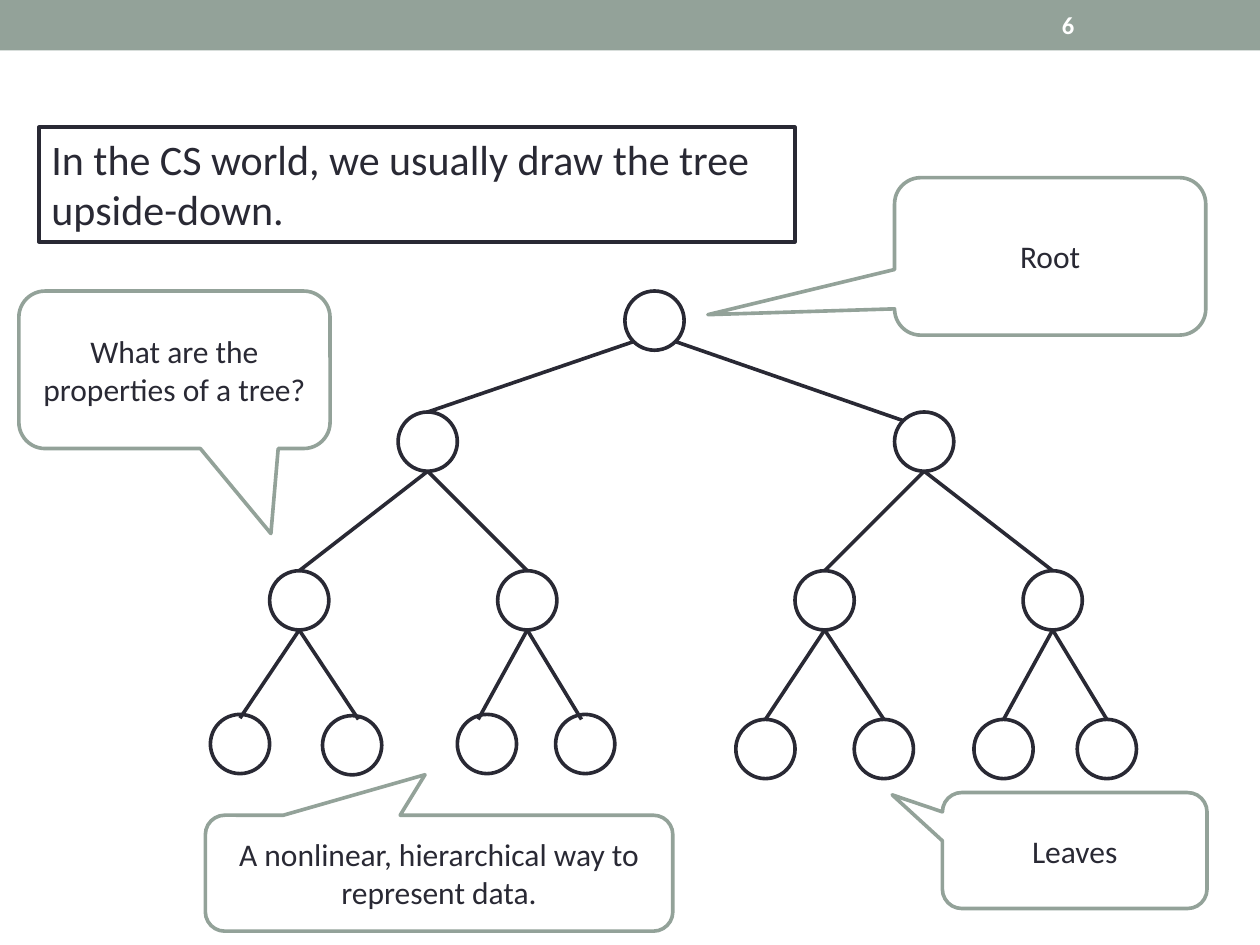
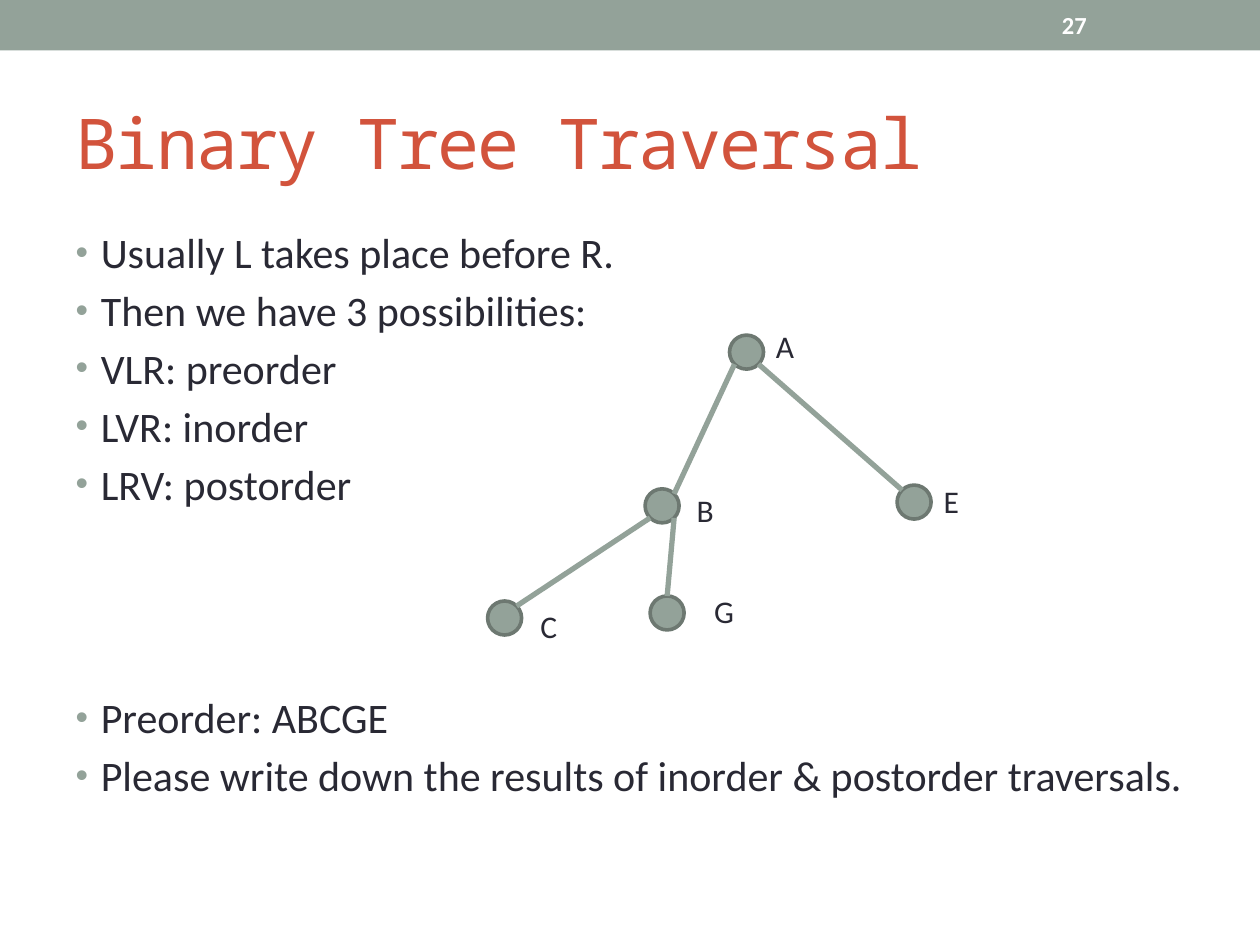
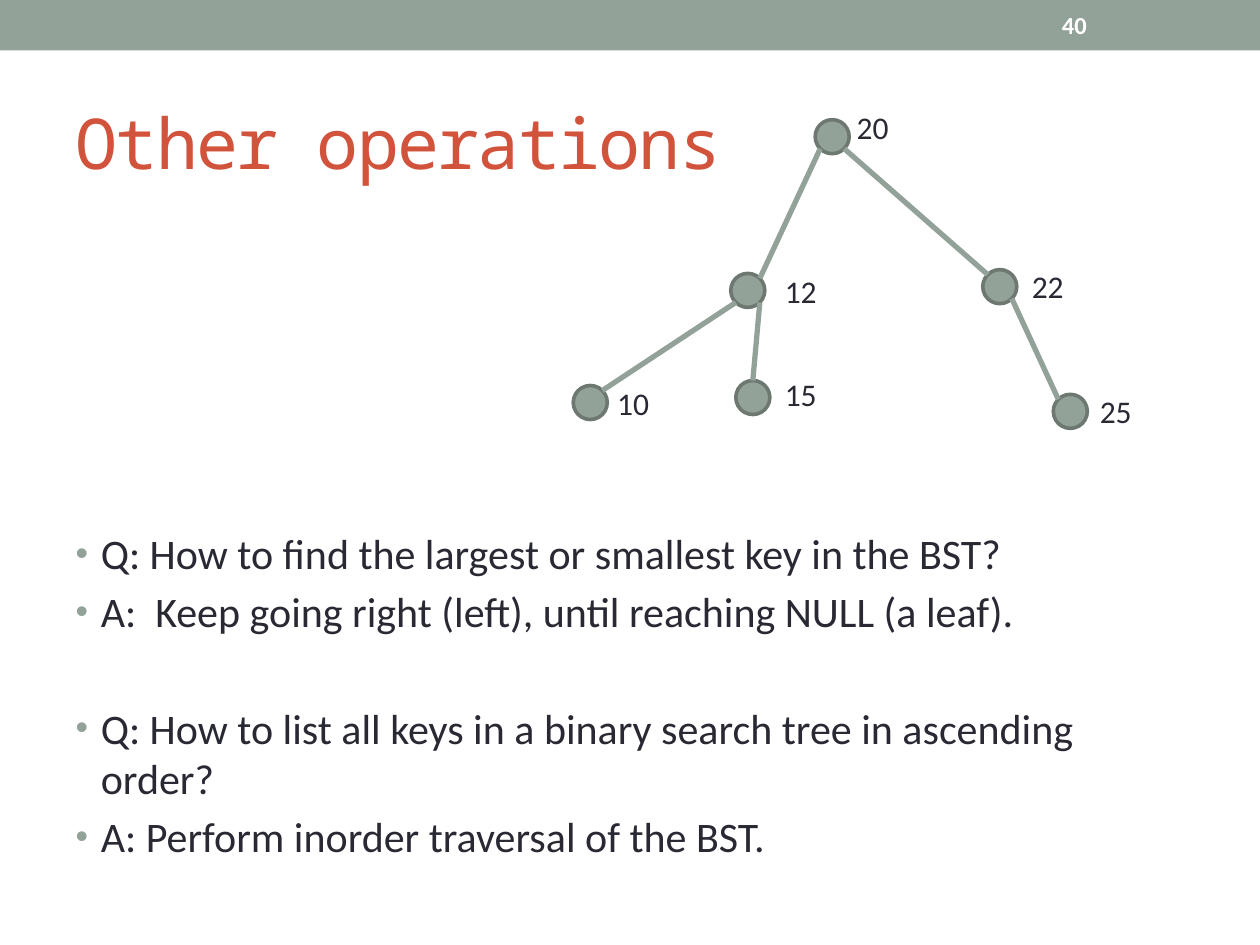
from pptx import Presentation
from pptx.dml.color import RGBColor
from pptx.enum.shapes import MSO_CONNECTOR, MSO_SHAPE
from pptx.enum.text import MSO_ANCHOR, MSO_AUTO_SIZE, PP_ALIGN
from pptx.oxml.ns import qn
from pptx.util import Inches, Pt
from lxml.etree import SubElement

WIDTH, HEIGHT = 10, 7.5
MARGIN = WIDTH / 20
BODY_BOTTOM = 7.08
COLORS = {
    "sage": "93A299",
    "dark_sage": "6D7871",
    "ink": "292934",
    "red": "D2533C",
    "white": "FFFFFF",
}
BODY_FONT, TITLE_FONT = "Calibri", "Noto Sans Mono"
OUTLINE = 2.08
PARAGRAPH_GAP, LINE_PITCH = 4.25, 33.5
DIAGONAL = 0.707
SIDES = {
    "top": (0, -1),
    "bottom": (0, 1),
    "top left": (-DIAGONAL, -DIAGONAL),
    "top right": (DIAGONAL, -DIAGONAL),
    "bottom left": (-DIAGONAL, DIAGONAL),
    "bottom right": (DIAGONAL, DIAGONAL),
}

HEADLINE = ("In the CS world, we usually draw the tree upside-down.", (0.31, 1.01, 6, 0.91))
CALLOUTS = [
    ("Root", (7.1, 1.41, 2.47, 1.25), (-1.1, 0.37)),
    ("Leaves", (7.48, 6.29, 2.1, 0.92), (-0.69, -0.48)),
    ("What are the properties of a tree?", (0.15, 2.31, 2.47, 1.25), (0.31, 1.04)),
    ("A nonlinear, hierarchical way to represent data.", (1.63, 6.47, 3.71, 0.92), (-0.03, -0.85)),
]
FULL_TREE_SIZE = 0.47
FULL_TREE_LEVELS = [
    [(4.96, 2.31)],
    [(left, 3.27) for left in (3.16, 7.1)],
    [(left, 4.53) for left in (2.14, 3.95, 6.31, 8.12)],
    [(1.67, 5.67), (2.56, 5.68), (3.63, 5.67), (4.41, 5.67)]
    + [(left, 5.71) for left in (5.84, 6.78, 7.73, 8.55)],
]
ROOT_EDGE_SIDES = [("bottom left", "top"), ("bottom right", "top left")]
LEAF_EDGE_SHIFTS = [(0, 0.03), (0.05, 0.03), (-0.07, 0.04), (-0.03, 0.04)]

SMALL_TREE_SIZE = 0.27
SMALL_TREE_OFFSETS = {
    "root": (0, 0),
    "L": (-0.67, 1.22),
    "R": (1.33, 1.19),
    "LL": (-1.92, 2.11),
    "LR": (-0.63, 2.07),
    "RR": (1.89, 2.18),
}
SMALL_TREE_EDGES = [
    ("root", "bottom left", "L", "top right"),
    ("root", "bottom right", "R", "top left"),
    ("L", "bottom left", "LL", "top right"),
    ("L", "bottom right", "LR", "top"),
    ("R", "bottom right", "RR", "top left"),
]

LIST_SLIDES = [
    {
        "number": "27",
        "title": "Binary Tree Traversal",
        "body_top": 1.75,
        "items": [
            ("Usually L takes place before R.", 0),
            ("Then we have 3 possibilities:", 0),
            ("VLR: preorder", 0),
            ("LVR: inorder", 0),
            ("LRV: postorder", 0),
            ("Preorder: ABCGE", 3),
            ("Please write down the results of inorder & postorder traversals.", 0),
        ],
        "root": (5.79, 2.66),
        "labels": {
            "root": ("A", 0.27, -0.11, 0.36),
            "R": ("E", 0.27, -0.07, 0.34),
            "L": ("B", 0.31, -0.03, 0.35),
            "LR": ("G", 0.41, -0.08, 0.37),
            "LL": ("C", 0.32, 0, 0.35),
        },
    },
    {
        "number": "40",
        "title": "Other operations",
        "body_top": 4.14,
        "items": [
            ("Q: How to find the largest or smallest key in the BST?", 0),
            ("A:  Keep going right (left), until reaching NULL (a leaf).", 0),
            ("Q: How to list all keys in a binary search tree in ascending order?", 1),
            ("A: Perform inorder traversal of the BST.", 0),
        ],
        "root": (6.47, 0.95),
        "labels": {
            "root": ("20", 0.23, -0.14, 0.48),
            "L": ("12", 0.33, -0.06, 0.48),
            "R": ("22", 0.29, -0.07, 0.48),
            "RR": ("25", 0.27, -0.07, 0.48),
            "LL": ("10", 0.25, -0.06, 0.48),
            "LR": ("15", 0.29, -0.09, 0.48),
        },
    },
]


def color(name):
    return RGBColor.from_string(COLORS[name])


def box(left, top, width, height):
    return [Inches(length) for length in (left, top, width, height)]


def style_text(paragraph, size, color_name="ink", font_name=BODY_FONT, bold=False):
    for run in paragraph.runs:
        run.font.size = Pt(size)
        run.font.name = font_name
        run.font.bold = bold
        run.font.color.rgb = color(color_name)


def add_shape(slide, kind, place, fill, line=None):
    shape = slide.shapes.add_shape(kind, *box(*place))
    shape.shadow.inherit = False
    shape.fill.solid()
    shape.fill.fore_color.rgb = color(fill)
    if line:
        shape.line.color.rgb = color(line)
        shape.line.width = Pt(OUTLINE)
    else:
        shape.line.fill.background()
    return shape


def write(shape, text, size, align=PP_ALIGN.LEFT, anchor=MSO_ANCHOR.TOP, **style):
    frame = shape.text_frame
    frame.text = text
    frame.vertical_anchor = anchor
    frame.paragraphs[0].alignment = align
    style_text(frame.paragraphs[0], size, **style)
    return frame


def add_text(slide, text, place, size, wrap=True, **style):
    text_box = slide.shapes.add_textbox(*box(*place))
    write(text_box, text, size, **style).word_wrap = wrap


def add_band(slide, number):
    add_shape(slide, MSO_SHAPE.RECTANGLE, (0, 0, WIDTH, 0.4), "sage")
    add_text(slide, number, (8.33, 0.02, 1.17, 0.36), 14,
             anchor=MSO_ANCHOR.MIDDLE, color_name="white", bold=True)


def add_node(slide, position, size, fill, line):
    add_shape(slide, MSO_SHAPE.OVAL, (*position, size, size), fill, line)


def node_point(position, size, side):
    return [corner + size / 2 * (1 + direction)
            for corner, direction in zip(position, SIDES[side])]


def add_edge(slide, start, end, line, width):
    points = [Inches(length) for length in (*start, *end)]
    connector = slide.shapes.add_connector(MSO_CONNECTOR.STRAIGHT, *points)
    connector.line.color.rgb = color(line)
    connector.line.width = Pt(width)
    SubElement(connector._element.spPr, qn("a:effectLst"))


def add_full_tree(slide):
    size = FULL_TREE_SIZE
    for level in FULL_TREE_LEVELS:
        for position in level:
            add_node(slide, position, size, "white", "ink")
    for depth, level in enumerate(FULL_TREE_LEVELS[1:], 1):
        for index, child in enumerate(level):
            parent = FULL_TREE_LEVELS[depth - 1][index // 2]
            sides = ROOT_EDGE_SIDES[index] if depth == 1 else ("bottom", "top")
            shift = (0, 0)
            if depth == 3 and index < len(LEAF_EDGE_SHIFTS):
                shift = LEAF_EDGE_SHIFTS[index]
            start = node_point(parent, size, sides[0])
            end = [a + b for a, b in zip(node_point(child, size, sides[1]), shift)]
            add_edge(slide, start, end, "ink", OUTLINE)


def add_small_tree(slide, root, labels):
    size = SMALL_TREE_SIZE
    nodes = {name: [a + b for a, b in zip(root, SMALL_TREE_OFFSETS[name])] for name in labels}
    for position in nodes.values():
        add_node(slide, position, size, "sage", "dark_sage")
    for parent, parent_side, child, child_side in SMALL_TREE_EDGES:
        if child in nodes:
            add_edge(slide, node_point(nodes[parent], size, parent_side),
                     node_point(nodes[child], size, child_side), "sage", 3)
    for name, (text, across, down, width) in labels.items():
        left, top = nodes[name]
        add_text(slide, text, (left + across, top + down, width, 0.4), 18, wrap=False)


def place_placeholder(shape, place):
    shape.left, shape.top, shape.width, shape.height = box(*place)
    shape.text_frame.auto_size = MSO_AUTO_SIZE.NONE


def add_bullet(paragraph):
    properties = paragraph._p.get_or_add_pPr()
    properties.set("marL", str(Inches(0.2)))
    properties.set("indent", str(-Inches(0.2)))
    bullet_color = SubElement(properties, qn("a:buClr"))
    SubElement(bullet_color, qn("a:srgbClr"), val=COLORS["sage"])
    SubElement(properties, qn("a:buSzPct"), val="85000")
    SubElement(properties, qn("a:buFont"), typeface="Arial")
    SubElement(properties, qn("a:buChar"), char="•")


def fill_title(shape, text):
    place_placeholder(shape, (MARGIN, 0.58, WIDTH - 2 * MARGIN, 1.08))
    frame = write(shape, text, 40, anchor=MSO_ANCHOR.MIDDLE,
                  color_name="red", font_name=TITLE_FONT)
    frame.paragraphs[0].runs[0].font._element.set("spc", "-100")


def fill_body(shape, items, top):
    place_placeholder(shape, (MARGIN, top, WIDTH - 2 * MARGIN, BODY_BOTTOM - top))
    frame = shape.text_frame
    for index, (text, skipped_lines) in enumerate(items):
        paragraph = frame.paragraphs[0] if index == 0 else frame.add_paragraph()
        paragraph.text = text
        add_bullet(paragraph)
        gap = PARAGRAPH_GAP + skipped_lines * LINE_PITCH if index else 0
        paragraph.space_before = Pt(gap)
        style_text(paragraph, 24)


def build_tree_slide(presentation):
    slide = presentation.slides.add_slide(presentation.slide_layouts[6])
    add_band(slide, "6")
    add_full_tree(slide)
    text, place = HEADLINE
    write(add_shape(slide, MSO_SHAPE.RECTANGLE, place, "white", "ink"), text, 24)
    for text, place, tip in CALLOUTS:
        callout = add_shape(slide, MSO_SHAPE.ROUNDED_RECTANGULAR_CALLOUT, place, "white", "sage")
        callout.adjustments[0], callout.adjustments[1] = tip
        write(callout, text, 18, PP_ALIGN.CENTER, MSO_ANCHOR.MIDDLE)


def build_list_slide(presentation, content):
    slide = presentation.slides.add_slide(presentation.slide_layouts[1])
    add_band(slide, content["number"])
    fill_title(slide.shapes.title, content["title"])
    fill_body(slide.placeholders[1], content["items"], content["body_top"])
    add_small_tree(slide, content["root"], content["labels"])


def main():
    presentation = Presentation()
    presentation.slide_width, presentation.slide_height = Inches(WIDTH), Inches(HEIGHT)
    build_tree_slide(presentation)
    for content in LIST_SLIDES:
        build_list_slide(presentation, content)
    presentation.save("out.pptx")


if __name__ == "__main__":
    main()
